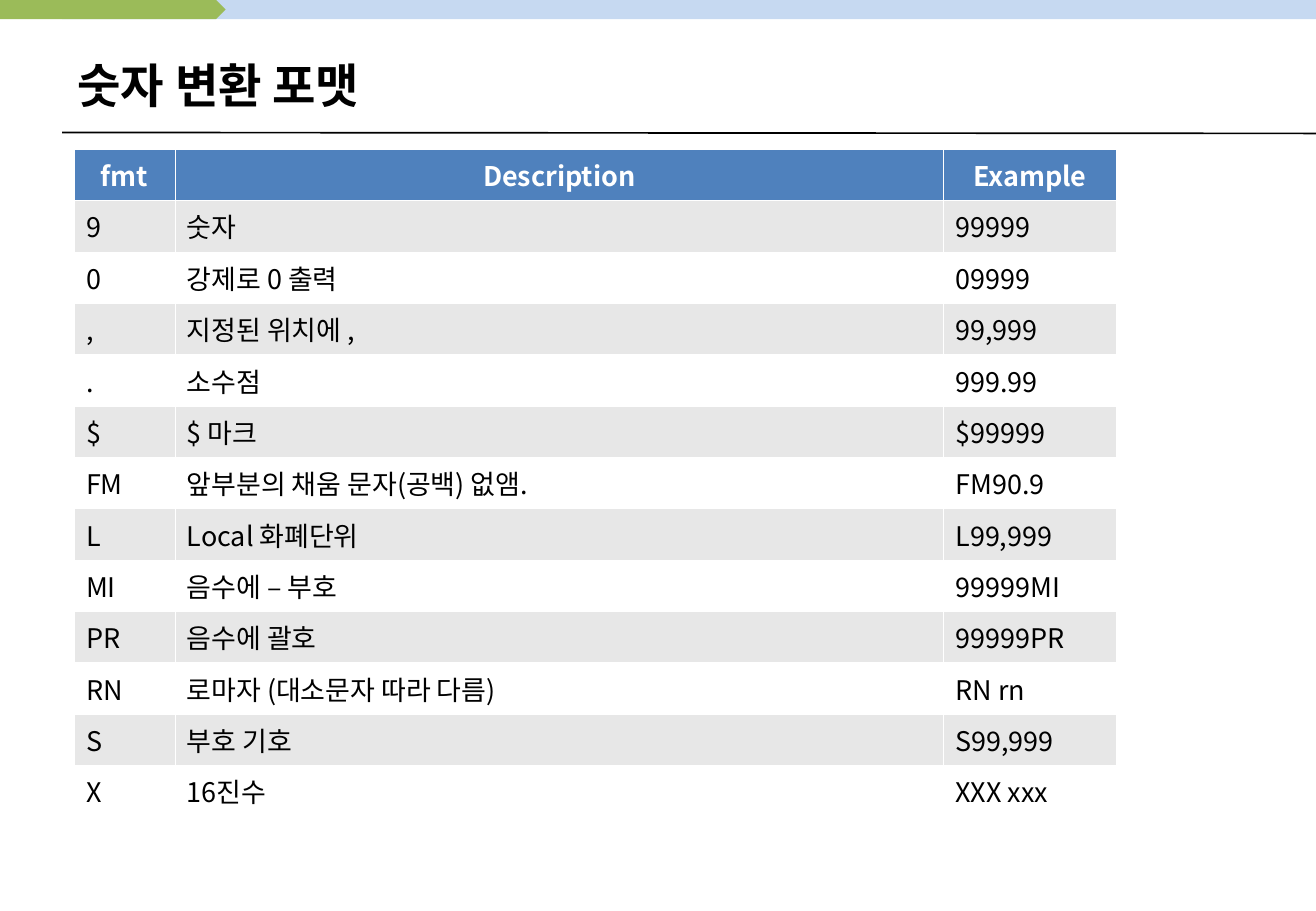
import pptx
import pptx.util
import pptx.dml.color
import pptx.enum.shapes
import pptx.enum.text
import pptx.oxml.ns
import lxml.etree

Cm = pptx.util.Cm
Pt = pptx.util.Pt
kinds = pptx.enum.shapes.MSO_SHAPE
align = pptx.enum.text.PP_ALIGN
qn = pptx.oxml.ns.qn

TITLE = "숫자 변환 포맷"
ROWS = [
    ("fmt", "Description", "Example"),
    ("9", "숫자", "99999"),
    ("0", "강제로 0 출력", "09999"),
    (",", "지정된 위치에 ,", "99,999"),
    (".", "소수점", "999.99"),
    ("$", "$ 마크", "$99999"),
    ("FM", "앞부분의 채움 문자(공백) 없앰.", "FM90.9"),
    ("L", "Local 화폐단위", "L99,999"),
    ("MI", "음수에 – 부호", "99999MI"),
    ("PR", "음수에 괄호", "99999PR"),
    ("RN", "로마자 (대소문자 따라 다름)", "RN rn"),
    ("S", "부호 기호", "S99,999"),
    ("X", "16진수", "XXX xxx"),
]
WIDTHS = (2.11, 16.08, 3.61)
HIGH = 0.93
FACE = "Noto Sans CJK KR"
HEAD = {"name": FACE, "size": Pt(28), "bold": True}
TOP = {"name": FACE, "size": Pt(16), "bold": True}
BODY = {"name": FACE, "size": Pt(16), "bold": False}
BARS = [
    (kinds.RECTANGLE, (1.3, 0, 26.23, 0.4), "C6D9F1"),
    (kinds.PENTAGON, (0, 0, 4.72, 0.4), "9BBB59"),
]
INSET = {
    "margin_left": Cm(0.25), "margin_right": Cm(0.25),
    "margin_top": Cm(0.13), "margin_bottom": Cm(0.13),
}


def color(code):
    return pptx.dml.color.RGBColor.from_string(code)


def paint(fill, code):
    fill.solid()
    fill.fore_color.rgb = color(code)


def assign(item, values):
    for key, value in values.items():
        setattr(item, key, value)


def write(frame, text, style, code, side):
    para = frame.paragraphs[0]
    para.alignment = side
    run = para.add_run()
    run.text = text
    assign(run.font, style)
    run.font.color.rgb = color(code)
    latin = run.font._element.find(qn("a:latin"))
    east = lxml.etree.Element(qn("a:ea"), typeface=style["name"])
    latin.addnext(east)


def border(cell, code, width):
    props = cell._tc.get_or_add_tcPr()
    for spot, edge in enumerate(("lnL", "lnR", "lnT", "lnB")):
        line = lxml.etree.Element(qn("a:" + edge), w=str(Pt(width)))
        fill = lxml.etree.SubElement(line, qn("a:solidFill"))
        lxml.etree.SubElement(fill, qn("a:srgbClr"), val=code)
        props.insert(spot, line)


def main():
    deck = pptx.Presentation()
    assign(deck, {"slide_width": Cm(27.53), "slide_height": Cm(19.05)})
    slide = deck.slides.add_slide(deck.slide_layouts[5])
    shapes = slide.shapes

    for kind, place, code in BARS:
        bar = shapes.add_shape(kind, *map(Cm, place))
        bar.shadow.inherit = False
        paint(bar.fill, code)
        bar.line.fill.background()

    rule = shapes.add_connector(
        pptx.enum.shapes.MSO_CONNECTOR.STRAIGHT,
        Cm(1.3), Cm(2.77), Cm(27.53), Cm(2.79))
    rule.line.color.rgb = color("000000")
    rule.line.width = Pt(1)
    lxml.etree.SubElement(rule._element.spPr, qn("a:effectLst"))

    title = shapes.title
    assign(title, {"left": Cm(1.37), "top": Cm(0.76),
                   "width": Cm(24.77), "height": Cm(2)})
    title.text_frame.vertical_anchor = pptx.enum.text.MSO_ANCHOR.MIDDLE
    write(title.text_frame, TITLE, HEAD, "000000", align.LEFT)

    table = shapes.add_table(
        len(ROWS), len(WIDTHS), Cm(1.55), Cm(3.12),
        Cm(sum(WIDTHS)), Cm(HIGH * len(ROWS))).table
    for col, width in zip(table.columns, WIDTHS):
        col.width = Cm(width)
    for r, row in enumerate(ROWS):
        table.rows[r].height = Cm(HIGH)
        if r == 0:
            look = (TOP, "FFFFFF", align.CENTER)
            back = "4F81BD"
        else:
            look = (BODY, "000000", align.LEFT)
            back = "E7E7E7" if r % 2 else "FFFFFF"
        for c, text in enumerate(row):
            cell = table.cell(r, c)
            assign(cell, INSET)
            paint(cell.fill, back)
            border(cell, "FFFFFF", 0.45)
            write(cell.text_frame, text, *look)

    deck.save("out.pptx")


if __name__ == "__main__":
    main()
